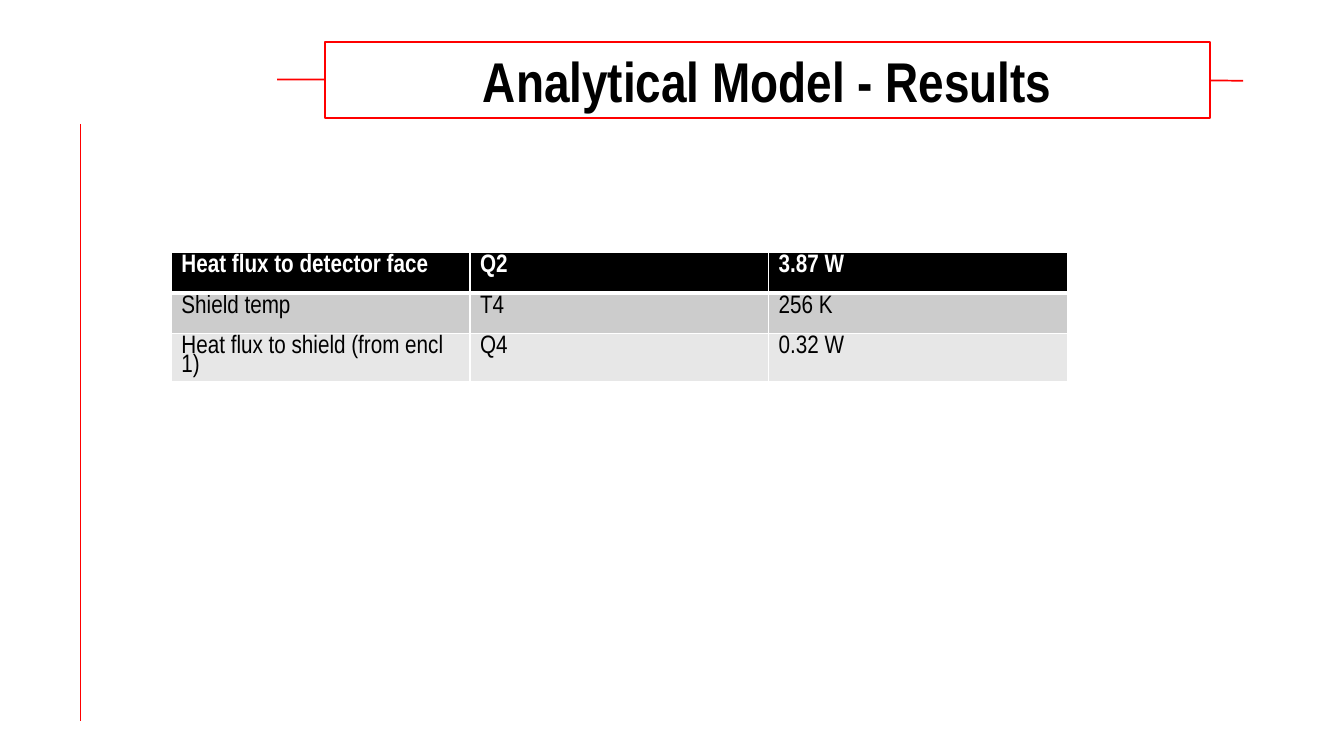
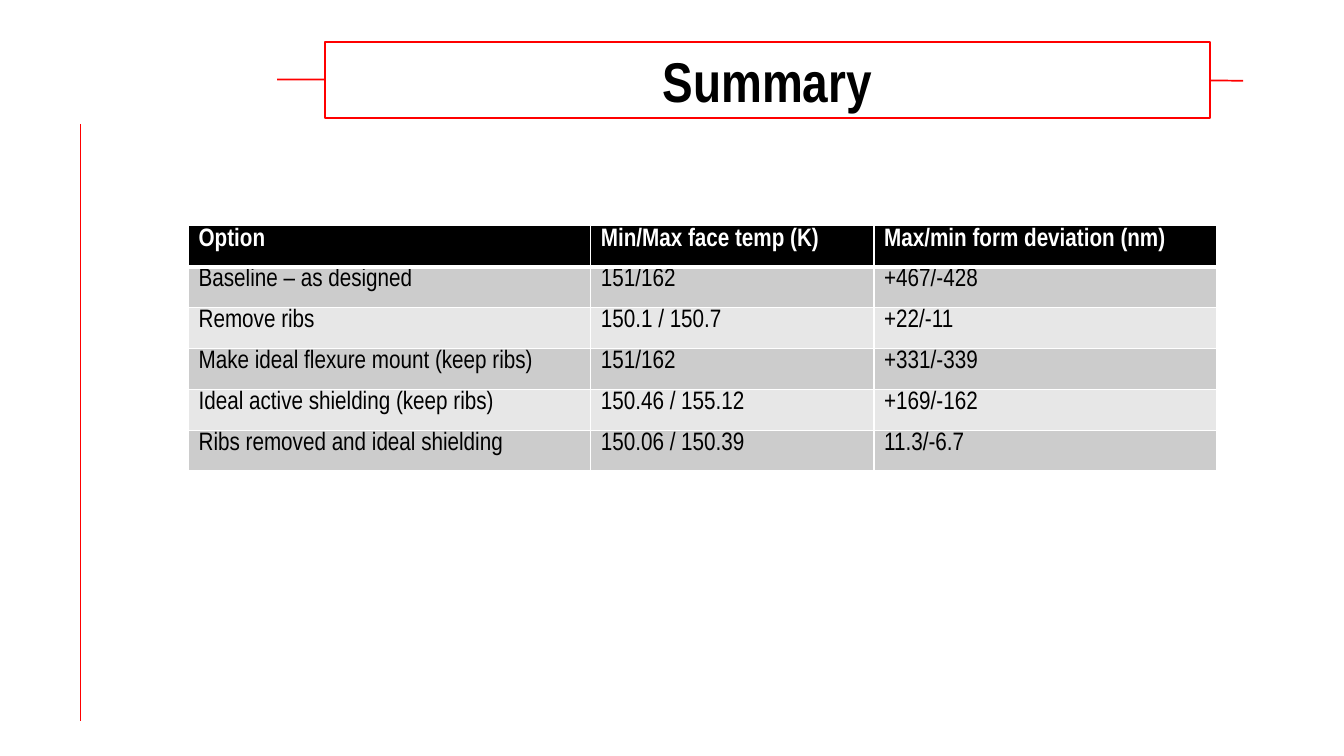
from lxml import etree
from pptx import Presentation
from pptx.dml.color import RGBColor
from pptx.enum.shapes import MSO_CONNECTOR, MSO_SHAPE
from pptx.enum.text import MSO_ANCHOR, PP_ALIGN
from pptx.oxml.ns import qn
from pptx.util import Inches, Pt

LINE, RECT = MSO_CONNECTOR.STRAIGHT, MSO_SHAPE.RECTANGLE
MIDDLE, CENTER = MSO_ANCHOR.MIDDLE, PP_ALIGN.CENTER

# Shared look
RED = RGBColor(0xFF, 0, 0)
BLACK = RGBColor(0, 0, 0)
WHITE = RGBColor(0xFF, 0xFF, 0xFF)
BANDS = RGBColor(0xCC, 0xCC, 0xCC), RGBColor(0xE7, 0xE7, 0xE7)
FONT = "Arial Narrow"
RULE = Pt(1.25)
WIDE, HIGH = Inches(13.33), Inches(7.5)
ROW = 5.41

# Table contents
MODEL = [
    ("Heat flux to detector face", "Q2", "3.87 W"),
    ("Shield temp", "T4", "256 K"),
    ("Heat flux to shield (from encl 1)", "Q4", "0.32 W"),
]
OPTIONS = [
    ("Option", "Min/Max face temp (K)", "Max/min form deviation (nm)"),
    ("Baseline – as designed", "151/162", "+467/-428"),
    ("Remove ribs", "150.1 / 150.7", "+22/-11"),
    ("Make ideal flexure mount (keep ribs)", "151/162", "+331/-339"),
    ("Ideal active shielding (keep ribs)", "150.46 / 155.12", "+169/-162"),
    ("Ribs removed and ideal shielding", "150.06 / 150.39", "11.3/-6.7"),
]


def across(share):
    """Percent of the slide width."""
    return round(WIDE * share / 100)


def down(share):
    """Percent of the slide height."""
    return round(HIGH * share / 100)


def style(para, size, color, bold):
    font = para.runs[0].font
    font.name, font.size, font.bold = FONT, Pt(size), bold
    font.color.rgb = color


def add_rule(slide, x1, y1, x2, y2):
    rule = slide.shapes.add_connector(
        LINE, across(x1), down(y1), across(x2), down(y2))
    rule.line.color.rgb = RED
    rule.line.width = RULE
    etree.SubElement(rule._element.spPr, qn("a:effectLst"))


def add_title(slide, text):
    box = slide.shapes.add_shape(
        RECT, across(24.16), down(5.6), across(65.87), down(10))
    box.shadow.inherit = False
    box.fill.solid()
    box.fill.fore_color.rgb = WHITE
    box.line.color.rgb = RED
    box.line.width = RULE
    frame = box.text_frame
    frame.text = text
    frame.vertical_anchor = MIDDLE
    para = frame.paragraphs[0]
    para.alignment = CENTER
    style(para, 40, BLACK, True)


def add_edges(cell, base):
    """White borders; base is the width of the bottom one in points."""
    props = cell._tc.get_or_add_tcPr()
    for side, width in (("L", 1), ("R", 1), ("T", 1), ("B", base)):
        edge = etree.SubElement(props, qn("a:ln" + side), w=str(Pt(width)))
        fill = etree.SubElement(edge, qn("a:solidFill"))
        etree.SubElement(fill, qn("a:srgbClr"), val=str(WHITE))


def fill_cell(cell, text, row):
    head = row == 0
    add_edges(cell, 3 if head else 1)
    cell.fill.solid()
    cell.fill.fore_color.rgb = BLACK if head else BANDS[(row - 1) % 2]
    cell.text_frame.text = text
    para = cell.text_frame.paragraphs[0]
    para.line_spacing = 0.8
    style(para, 18, WHITE if head else BLACK, head)


def add_grid(slide, left, top, widths, rows):
    grid = slide.shapes.add_table(
        len(rows), len(widths), across(left), down(top),
        across(sum(widths)), down(ROW * len(rows))).table
    grid.horz_banding = False
    for col, width in zip(grid.columns, widths):
        col.width = across(width)
    for r, texts in enumerate(rows):
        grid.rows[r].height = down(ROW)
        for c, text in enumerate(texts):
            fill_cell(grid.cell(r, c), text, r)


def add_page(deck, title):
    slide = deck.slides.add_slide(deck.slide_layouts[6])
    add_rule(slide, 20.63, 10.53, 92.5, 10.67)
    add_rule(slide, 6, 16.4, 6, 95.33)
    add_title(slide, title)
    return slide


def main():
    deck = Presentation()
    deck.slide_width, deck.slide_height = WIDE, HIGH

    # Model results
    page = add_page(deck, "Analytical Model - Results")
    add_grid(page, 12.75, 33.33, [22.22] * 3, MODEL)

    # Summary of options
    page = add_page(deck, "Summary")
    add_grid(page, 14.03, 29.87, [29.93, 21.08, 25.51], OPTIONS)

    deck.save("out.pptx")


if __name__ == "__main__":
    main()
